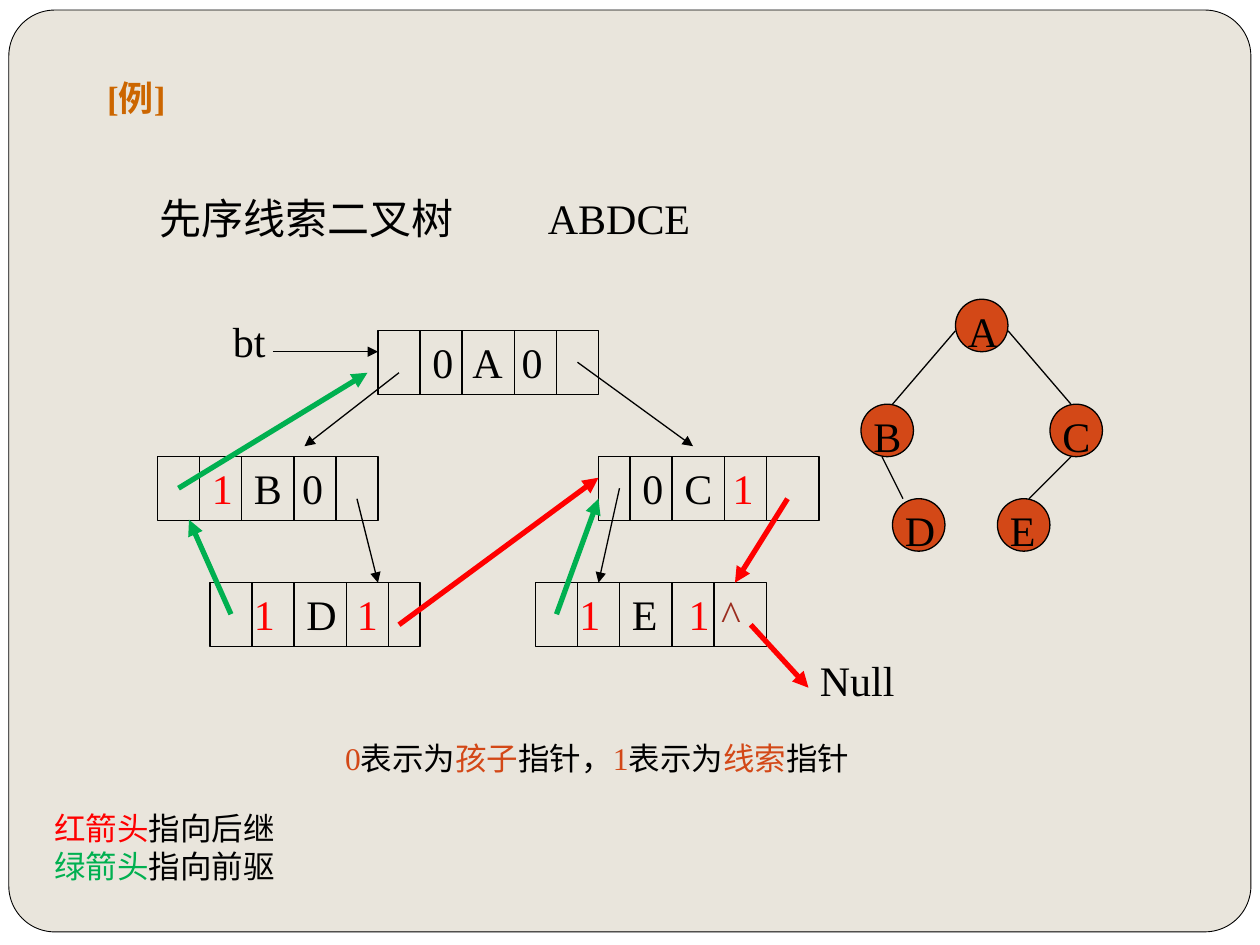
from dataclasses import dataclass

from lxml import etree
from pptx import Presentation
from pptx.dml.color import RGBColor
from pptx.enum.shapes import MSO_CONNECTOR, MSO_SHAPE
from pptx.enum.text import MSO_ANCHOR, PP_ALIGN
from pptx.oxml.ns import qn
from pptx.util import Inches, Pt

STRAIGHT = MSO_CONNECTOR.STRAIGHT
RECTANGLE, OVAL = MSO_SHAPE.RECTANGLE, MSO_SHAPE.OVAL
ROUNDED = MSO_SHAPE.ROUNDED_RECTANGLE
TOP, LEFT = MSO_ANCHOR.TOP, PP_ALIGN.LEFT
COLUMNS, ROWS = 120, 90  # square grid, twelve cells to the inch


@dataclass(frozen=True)
class Theme:
    font: str = "Times New Roman"
    ink: str = "000000"
    paper: str = "FFFFFF"
    panel: str = "E9E5DC"
    heading: str = "CC6600"
    accent: str = "D34817"
    caret: str = "9B2D1F"
    red: str = "FF0000"
    green: str = "00B050"
    large: int = 24
    medium: int = 20
    small: int = 18
    hairline: float = 0.5
    thin: float = 0.75
    thick: float = 3


class SlideBuilder:
    def __init__(self, presentation, theme):
        self.theme = theme
        self.cell_width = presentation.slide_width / COLUMNS
        self.cell_height = presentation.slide_height / ROWS
        self.slide = presentation.slides.add_slide(presentation.slide_layouts[1])
        title = self.slide.shapes.title.element
        title.getparent().remove(title)
        background = self.slide.background.fill
        background.solid()
        background.fore_color.rgb = RGBColor.from_string(theme.paper)

    def place(self, left, top, *size):
        """Turn grid columns and rows into lengths."""
        steps = (self.cell_width, self.cell_height) * 2
        return [round(value * step) for value, step in zip((left, top, *size), steps)]

    def outline(self, line, color, width):
        line.color.rgb = RGBColor.from_string(color)
        line.width = Pt(width)

    def shape(self, kind, box, fill=None, width=None):
        shape = self.slide.shapes.add_shape(kind, *self.place(*box))
        shape.shadow.inherit = False
        if fill:
            shape.fill.solid()
            shape.fill.fore_color.rgb = RGBColor.from_string(fill)
        else:
            shape.fill.background()
        self.outline(shape.line, self.theme.ink, width or self.theme.thin)
        return shape

    def panel(self, box):
        shape = self.shape(ROUNDED, box, self.theme.panel, self.theme.hairline)
        shape.adjustments[0] = 0.05
        self.slide.shapes._spTree.insert(2, shape.element)  # behind the body

    def fill_text(self, shape, lines, size, tabs=(), bold=False):
        """Each line is a list of (text, color) runs; tabs are in columns."""
        frame = shape.text_frame
        frame.word_wrap = True
        frame.vertical_anchor = TOP
        for index, runs in enumerate(lines):
            paragraph = frame.add_paragraph() if index else frame.paragraphs[0]
            paragraph.alignment = LEFT
            if tabs:
                stops = etree.SubElement(paragraph._p.get_or_add_pPr(), qn("a:tabLst"))
                for tab in tabs:
                    position = str(round(tab * self.cell_width))
                    etree.SubElement(stops, qn("a:tab"), pos=position, algn="l")
            for text, color in runs:
                run = paragraph.add_run()
                run.text = text
                style = {"name": self.theme.font, "size": Pt(size), "bold": bold}
                for name, value in style.items():
                    setattr(run.font, name, value)
                run.font.color.rgb = RGBColor.from_string(color)

    def body(self, box, text):
        shape = self.slide.placeholders[1]
        names = ("left", "top", "width", "height")
        for name, value in zip(names, self.place(*box)):
            setattr(shape, name, value)
        self.fill_text(shape, [[(text, self.theme.heading)]], self.theme.medium, bold=True)
        paragraph = shape.text_frame.paragraphs[0]
        paragraph.line_spacing = 0.8
        paragraph.space_before = Pt(0)
        properties = paragraph._p.get_or_add_pPr()
        properties.set("marL", str(Inches(0.3)))
        properties.set("indent", str(Inches(-0.3)))
        etree.SubElement(properties, qn("a:buNone"))

    def text(self, box, lines, size=None, tabs=()):
        shape = self.slide.shapes.add_textbox(*self.place(*box))
        self.fill_text(shape, lines, size or self.theme.large, tabs)

    def line(self, start, end, color=None, width=None, arrow=False):
        connector = self.slide.shapes.add_connector(
            STRAIGHT, *self.place(*start), *self.place(*end))
        self.outline(connector.line, color or self.theme.ink, width or self.theme.thin)
        if arrow:
            etree.SubElement(connector.line._get_or_add_ln(), qn("a:tailEnd"),
                             type="triangle")
        etree.SubElement(connector.element.spPr, qn("a:effectLst"))

    def tree_node(self, left, top, letter):
        self.shape(OVAL, (left, top, 5, 5), self.theme.accent)
        self.text((left, top, 6, 6), [[(letter, self.theme.ink)]])

    def record(self, left, top, width, dividers, fields):
        """A five-field list node; fields are (tab column, text, color)."""
        shape = self.shape(RECTANGLE, (left, top, width, 6.1))
        runs = [("\t" + text, color) for _, text, color in fields]
        self.fill_text(shape, [runs], self.theme.large, [field[0] for field in fields])
        for offset in dividers:
            self.line((left + offset, top), (left + offset, top + 6))


def main():
    theme = Theme()
    ink, red, green, accent = theme.ink, theme.red, theme.green, theme.accent
    presentation = Presentation()
    presentation.slide_width, presentation.slide_height = Inches(10), Inches(7.5)
    builder = SlideBuilder(presentation, theme)

    # Panel, heading and traversal order
    builder.panel((0.84, 0.96, 118.3, 87.8))
    builder.body((9, 7.5, 102, 77), "[例]")
    builder.text((14, 17.75, 55, 6), [[("先序线索二叉树\tABDCE", ink)]], tabs=[37])

    # Binary tree
    for node in ((91, 28.5, "A"), (82, 38.5, "B"), (100, 38.5, "C"),
                 (85, 47.5, "D"), (95, 47.5, "E")):
        builder.tree_node(*node)
    for edge in (((91, 31.5), (85, 38.5)), ((96, 31.5), (102, 38.5)),
                 ((84, 43.5), (86, 47.5)), ((102, 43.5), (98, 47.5))):
        builder.line(*edge)

    # Threaded list nodes
    usual, shifted = (4, 8, 13, 17), (3, 7, 12, 16)
    for record in (
        (36, 31.5, 21, usual, [(4, "0", ink), (7.8, "A", ink), (12.5, "0", ink)]),
        (15, 43.5, 21, usual, [(4, "1", red), (8, "B", ink), (12.6, "0", ink)]),
        (57, 43.5, 21, shifted, [(3, "0", ink), (7, "C", ink), (11.6, "1", red)]),
        (20, 55.5, 20, usual, [(3, "1", red), (8, "D", ink), (12.8, "1", red)]),
        (51, 55.5, 22, usual, [(3, "1", red), (8, "E", ink), (13.4, "1", red),
                               (16.5, "^", theme.caret)]),
    ):
        builder.record(*record)

    # Child pointers, predecessor threads and successor threads
    children = [((26, 33.5), (36, 33.5)), ((38, 35.5), (29, 42.5)),
                ((55, 34.5), (66, 42.5)), ((34, 47.5), (36, 55.5)),
                ((59, 46.5), (57, 55.5))]
    predecessors = [((22, 58.5), (18, 49.5)), ((53, 58.5), (57, 47.5)),
                    ((17, 46.5), (35, 35.5))]
    successors = [((38, 59.5), (57, 45.5)), ((75, 47.5), (70, 55.5)),
                  ((71.5, 59.5), (77, 65.5))]
    for arrows, color, width in ((children, ink, theme.thin),
                                 (predecessors, green, theme.thick),
                                 (successors, red, theme.thick)):
        for start, end in arrows:
            builder.line(start, end, color, width, arrow=True)

    # Pointer labels and legends
    builder.text((21, 29.5, 7, 6), [[("bt", ink)]])
    builder.text((76.9, 61.7, 10, 6), [[("Null", ink)]])
    builder.text((31.7, 69.8, 50.6, 4.8), [[
        ("0", accent), ("表示为", ink), ("孩子", accent), ("指针，", ink),
        ("1", accent), ("表示为", ink), ("线索", accent), ("指针", ink)]], theme.small)
    builder.text((4, 76.5, 24, 8.5), [
        [("红箭头", red), ("指向后继", ink)],
        [("绿箭头", green), ("指向前驱", ink)]], theme.small)

    presentation.save("out.pptx")


if __name__ == "__main__":
    main()
